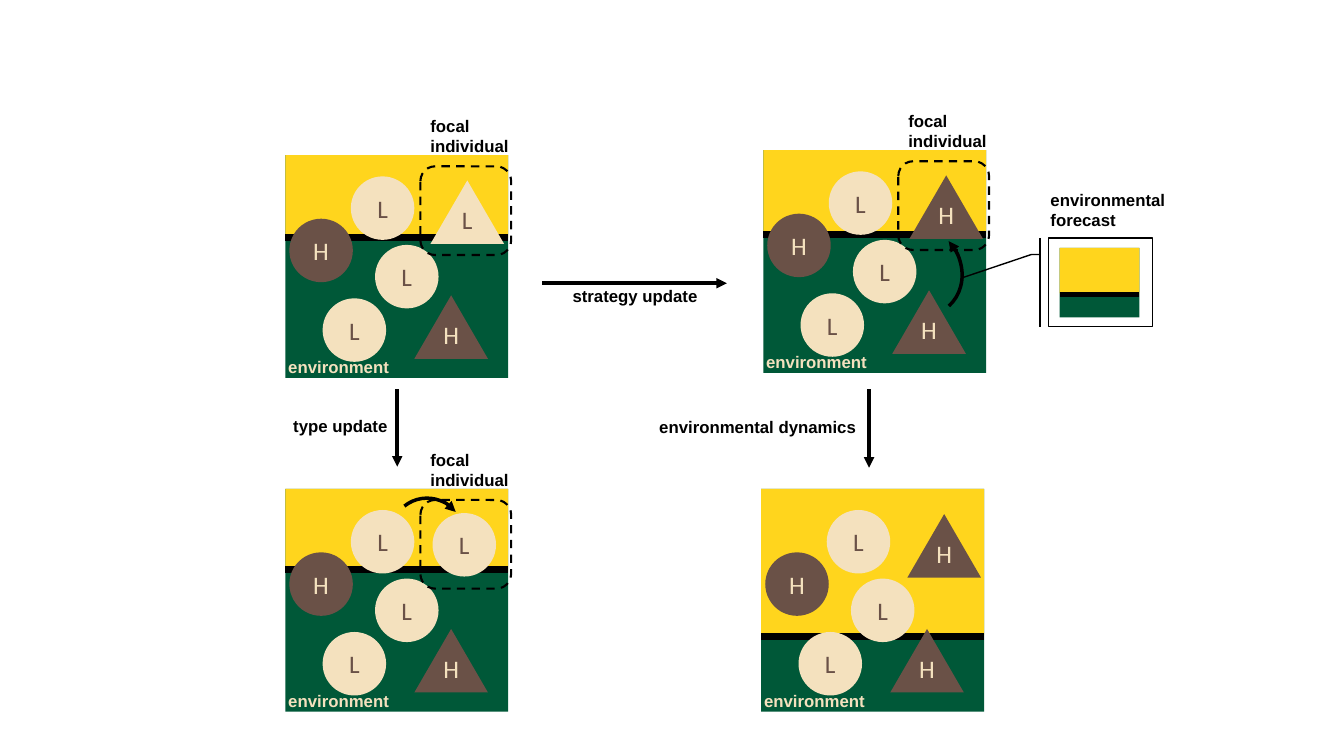
import pptx
import pptx.util
import pptx.dml.color
import pptx.enum.dml
import pptx.enum.shapes
import pptx.enum.text
import pptx.oxml.ns
from lxml import etree

SHAPES = pptx.enum.shapes.MSO_SHAPE
Inches = pptx.util.Inches
COLORS = {"green": "005838", "yellow": "FFD51D", "cream": "F4E1BE",
          "brown": "6A5147", "black": "000000", "white": "FFFFFF"}

# Type sets the outline, strategy sets the colours: (fill, letter colour)
STRATEGIES = {"L": ("cream", "brown"), "H": ("brown", "cream")}
OUTLINES = {"circle": (SHAPES.OVAL, 0.63, 0.63),
            "triangle": (SHAPES.ISOSCELES_TRIANGLE, 0.73, 0.63)}

# Individuals in every population: type, strategy, offset in the scene
POPULATION = [("circle", "L", 0.65, 0.21), ("circle", "H", 0.04, 0.63),
              ("circle", "L", 0.37, 1.42), ("circle", "L", 0.89, 0.89),
              ("triangle", "H", 1.28, 1.39)]
SCENE_SIZE = 2.21

# left, top, height of yellow, horizon, focal individual, framed as focal
SCENES = [
    (2.83, 1.54, 0.82, 0.82, ("triangle", "L", 1.44, 0.25), True),
    (7.57, 1.49, 0.82, 0.84, ("triangle", "H", 1.45, 0.25), True),
    (2.83, 4.85, 0.82, 0.80, ("circle", "L", 1.46, 0.24), True),
    (7.55, 4.85, 1.45, 1.46, ("triangle", "H", 1.45, 0.25), False),
]
# label, label box, arrow start, arrow end
UPDATES = [
    ("strategy update", (5.58, 2.79, 1.45, 0.3), (5.38, 2.81), (7.21, 2.81)),
    ("type update", (2.81, 4.08, 1.15, 0.3), (3.94, 3.86), (3.94, 4.63)),
    ("environmental dynamics", (6.44, 4.09, 2.17, 0.3), (8.62, 3.86), (8.62, 4.64)),
]
# box, rotation, end that carries the arrowhead
IMITATIONS = [((8.61, 2.25, 0.96, 0.86), 48, "headEnd"),
              ((3.88, 4.94, 0.72, 0.73), 321.1, "tailEnd")]
FORECAST_CALLOUT = (10.4, 2.36, 1.03, 0.88)
CALLOUT_LEADER = (0.188, -0.083, 0.188, -0.167, 0.453, -0.839)

deck = pptx.Presentation()
deck.slide_width, deck.slide_height = Inches(13.33), Inches(7.5)
slide = deck.slides.add_slide(deck.slide_layouts[6])


def rgb(name):
    """Return the named colour."""
    return pptx.dml.color.RGBColor.from_string(COLORS[name])


def set_line(shape, points, arrow_end=None):
    """Draw a black line, with an arrowhead at one end if asked."""
    shape.line.color.rgb = rgb("black")
    shape.line.width = pptx.util.Pt(points)
    if arrow_end:
        outline = shape._element.spPr.find(pptx.oxml.ns.qn("a:ln"))
        etree.SubElement(outline, pptx.oxml.ns.qn("a:" + arrow_end), type="triangle")


def add_shape(outline, box, fill=None, points=None, arrow_end=None):
    """Add a preset shape without shadow."""
    shape = slide.shapes.add_shape(outline, *map(Inches, box))
    shape.shadow.inherit = False
    if fill:
        shape.fill.solid()
        shape.fill.fore_color.rgb = rgb(fill)
    else:
        shape.fill.background()
    if points:
        set_line(shape, points, arrow_end)
    else:
        shape.line.fill.background()
    return shape


def add_line(start, end, points, arrow_end=None):
    """Add a straight line without shadow."""
    connector = slide.shapes.add_connector(
        pptx.enum.shapes.MSO_CONNECTOR.STRAIGHT, *map(Inches, start + end))
    set_line(connector, points, arrow_end)
    etree.SubElement(connector._element.spPr, pptx.oxml.ns.qn("a:effectLst"))


def style_text(frame, size, font, color, bold=False):
    """Format every run of a text frame."""
    for paragraph in frame.paragraphs:
        for run in paragraph.runs:
            run.font.size, run.font.name = pptx.util.Pt(size), font
            run.font.bold = bold
            run.font.color.rgb = rgb(color)


def add_label(text, box, color="black"):
    """Add a bold label that does not wrap."""
    frame = slide.shapes.add_textbox(*map(Inches, box)).text_frame
    frame.word_wrap = False
    frame.auto_size = pptx.enum.text.MSO_AUTO_SIZE.SHAPE_TO_FIT_TEXT
    frame.text = text
    style_text(frame, 12, "Arial", color, bold=True)


def add_environment(left, top, width, height, yellow, horizon, points):
    """Add a green ground, a yellow upper part and the horizon."""
    add_shape(SHAPES.RECTANGLE, (left, top, width, height), "green")
    add_shape(SHAPES.RECTANGLE, (left, top, width, yellow), "yellow")
    add_line((left, top + horizon), (left + width, top + horizon), points)


def add_individual(left, top, kind, strategy):
    """Add one individual with the letter of its strategy."""
    outline, width, height = OUTLINES[kind]
    fill, letter_color = STRATEGIES[strategy]
    individual = add_shape(outline, (left, top, width, height), fill)
    frame = individual.text_frame
    frame.text = strategy
    frame.vertical_anchor = pptx.enum.text.MSO_ANCHOR.MIDDLE
    frame.paragraphs[0].alignment = pptx.enum.text.PP_ALIGN.CENTER
    if kind == "triangle":
        frame.margin_bottom = Inches(0.22)
    style_text(frame, 18, "Calibri", letter_color)


def add_scene(left, top, yellow, horizon, focal, framed):
    """Add a population in its environment."""
    add_environment(left, top, SCENE_SIZE, SCENE_SIZE, yellow, horizon, 5)
    for kind, strategy, dx, dy in POPULATION + [focal]:
        add_individual(left + dx, top + dy, kind, strategy)
    add_label("environment", (left - 0.07, top + 1.95, 1.21, 0.3), "cream")
    if framed:
        frame = add_shape(SHAPES.ROUNDED_RECTANGLE,
                          (left + 1.34, top + 0.11, 0.9, 0.88), points=1.5)
        frame.line.dash_style = pptx.enum.dml.MSO_LINE.DASH
        add_label("focal\nindividual", (left + 1.34, top - 0.44, 0.99, 0.5))


for scene in SCENES:
    add_scene(*scene)
for text, box, start, end in UPDATES:
    add_line(start, end, 2.5, "tailEnd")
    add_label(text, box)
for box, rotation, arrow_end in IMITATIONS:
    add_shape(SHAPES.ARC, box, points=2.5, arrow_end=arrow_end).rotation = rotation

add_label("environmental\nforecast", (10.32, 1.83, 1.35, 0.5))
callout = add_shape(SHAPES.LINE_CALLOUT_2_BORDER_AND_ACCENT_BAR,
                    FORECAST_CALLOUT, "white", 1)
for index, share in enumerate(CALLOUT_LEADER):
    callout.adjustments[index] = share
add_environment(10.51, 2.46, 0.79, 0.69, 0.45, 0.46, 3.5)

deck.save("out.pptx")
